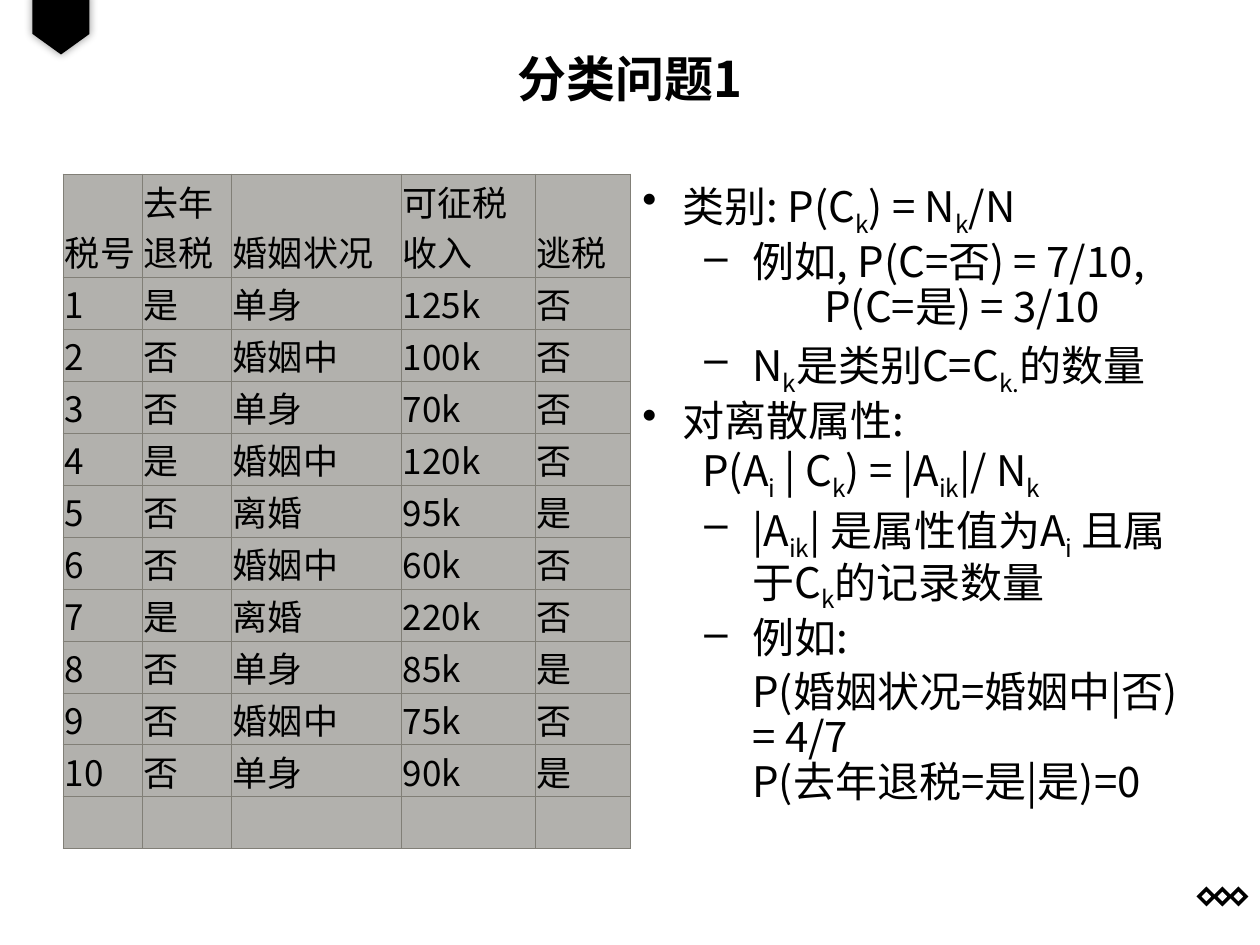
from lxml import etree
from pptx import Presentation
from pptx.dml.color import RGBColor
from pptx.enum.shapes import MSO_SHAPE
from pptx.enum.text import MSO_ANCHOR, PP_ALIGN
from pptx.oxml.ns import qn
from pptx.util import Pt

PX = 914400 // 126
FONT = "Noto Sans CJK SC"
BLACK = "000000"
CELL_FILL = "B2B1AD"
CELL_BORDER = "817F77"
DIAMOND, PENTAGON = MSO_SHAPE.DIAMOND, MSO_SHAPE.PENTAGON
BOTTOM, CENTER = MSO_ANCHOR.BOTTOM, PP_ALIGN.CENTER

COLUMN_WIDTHS = [79, 89, 170, 134, 95]
HEADER_HEIGHT, ROW_HEIGHT = 103, 52
RECORDS = [
    ("税号", "去年退税", "婚姻状况", "可征税收入", "逃税"),
    ("1", "是", "单身", "125k", "否"),
    ("2", "否", "婚姻中", "100k", "否"),
    ("3", "否", "单身", "70k", "否"),
    ("4", "是", "婚姻中", "120k", "否"),
    ("5", "否", "离婚", "95k", "是"),
    ("6", "否", "婚姻中", "60k", "否"),
    ("7", "是", "离婚", "220k", "否"),
    ("8", "否", "单身", "85k", "是"),
    ("9", "否", "婚姻中", "75k", "否"),
    ("10", "否", "单身", "90k", "是"),
    ("", "", "", "", ""),
]

SPACE_BEFORE = 4.8
TOPIC = {"margin": 40, "hanging": 40, "bullet": "•", "before": SPACE_BEFORE}
DETAIL = {"margin": 110, "hanging": 48, "bullet": "–", "before": SPACE_BEFORE}
FORMULAS = [
    ("类别: P(C~k~) = N~k~/N", {**TOPIC, "before": 0}),
    ("例如, P(C=否) = 7/10,", DETAIL),
    ("P(C=是) = 3/10", {"margin": 182}),
    ("N~k~是类别C=C~k.~的数量", DETAIL),
    ("对离散属性:", TOPIC),
    ("P(A~i~ | C~k~) = |A~ik~|/ N~k~", {"margin": 60}),
    ("|A~ik~| 是属性值为A~i~ 且属于C~k~的记录数量", DETAIL),
    ("例如:", DETAIL),
    ("P(婚姻状况=婚姻中|否) = 4/7", {"margin": 110, "before": SPACE_BEFORE}),
    ("P(去年退税=是|是)=0", {"margin": 110}),
]


def color(value):
    """Turn a hex string into a colour."""
    return RGBColor.from_string(value)


def scaled(*lengths):
    """Turn px lengths into EMU."""
    return [length * PX for length in lengths]


def format_run(run, size, bold=False):
    """Give a run its font for Latin and Chinese text."""
    run.font.name, run.font.size, run.font.bold = FONT, Pt(size), bold
    run.font.color.rgb = color(BLACK)
    east_asian = etree.SubElement(run._r.get_or_add_rPr(), qn("a:ea"))
    east_asian.set("typeface", FONT)


def add_ribbon(slide, left, top, width, height):
    """Draw the black ribbon hanging from the top edge."""
    ribbon = slide.shapes.add_shape(PENTAGON, *scaled(left, top, width, height))
    ribbon.rotation = 90
    ribbon.adjustments[0] = 0.36
    ribbon.fill.solid()
    ribbon.fill.fore_color.rgb = color(BLACK)
    ribbon.line.fill.background()
    ribbon.shadow.inherit = False
    effects = ribbon._element.spPr.find(qn("a:effectLst"))
    shadow = etree.SubElement(effects, qn("a:outerShdw"), blurRad=str(Pt(5)))
    tint = etree.SubElement(shadow, qn("a:srgbClr"), val=BLACK)
    etree.SubElement(tint, qn("a:alpha"), val="40000")


def add_diamonds(slide, left, top, size, pitch):
    """Draw the row of three outlined diamonds with sharp corners."""
    group = slide.shapes.add_group_shape()
    for index in range(3):
        box = scaled(left + index * pitch, top, size, size)
        diamond = group.shapes.add_shape(DIAMOND, *box)
        diamond.fill.background()
        diamond.line.color.rgb = color(BLACK)
        diamond.line.width = Pt(2)
        outline = diamond._element.spPr.find(qn("a:ln"))
        etree.SubElement(outline, qn("a:miter"), lim="800000")
        diamond.shadow.inherit = False


def add_title(slide, left, top, width, height):
    """Place the centred slide title."""
    frame = slide.shapes.add_textbox(*scaled(left, top, width, height)).text_frame
    frame.word_wrap = True
    frame.text = "分类问题1"
    paragraph = frame.paragraphs[0]
    paragraph.alignment = CENTER
    format_run(paragraph.runs[0], 28, bold=True)


def style_cell(cell):
    """Give a table cell its borders, fill, insets and font."""
    properties = cell._tc.get_or_add_tcPr()
    for side in ("lnL", "lnR", "lnT", "lnB"):
        border = etree.SubElement(properties, qn(f"a:{side}"), w=str(Pt(0.5)))
        fill = etree.SubElement(border, qn("a:solidFill"))
        etree.SubElement(fill, qn("a:srgbClr"), val=CELL_BORDER)
    cell.fill.solid()
    cell.fill.fore_color.rgb = color(CELL_FILL)
    cell.margin_left = 2 * PX
    cell.margin_right = cell.margin_top = PX
    cell.margin_bottom = 0
    cell.vertical_anchor = BOTTOM
    for run in cell.text_frame.paragraphs[0].runs:
        format_run(run, 20)


def add_records(slide, left, top):
    """Place the table of tax records."""
    heights = [HEADER_HEIGHT] + [ROW_HEIGHT] * (len(RECORDS) - 1)
    box = scaled(left, top, sum(COLUMN_WIDTHS), sum(heights))
    table = slide.shapes.add_table(len(RECORDS), len(COLUMN_WIDTHS), *box).table
    table.first_row = table.horz_banding = False
    for column, width in zip(table.columns, scaled(*COLUMN_WIDTHS)):
        column.width = width
    for row, height, record in zip(table.rows, scaled(*heights), RECORDS):
        row.height = height
        for cell, value in zip(row.cells, record):
            cell.text = value
            style_cell(cell)


def fill_formula(paragraph, text, margin, hanging=0, bullet=None, before=0):
    """Write one formula line; parts between tildes are subscripts."""
    properties = paragraph._p.get_or_add_pPr()
    properties.set("marL", str(margin * PX))
    properties.set("indent", str(-hanging * PX))
    if bullet:
        etree.SubElement(properties, qn("a:buChar"), char=bullet)
    else:
        etree.SubElement(properties, qn("a:buNone"))
    paragraph.line_spacing = 0.9
    paragraph.space_before = Pt(before)
    for index, part in enumerate(text.split("~")):
        if part:
            run = paragraph.add_run()
            run.text = part
            format_run(run, 24)
            if index % 2:
                run._r.get_or_add_rPr().set("baseline", "-25000")


def add_formulas(slide, left, top, width, height):
    """Place the bulleted list of probability formulas."""
    frame = slide.shapes.add_textbox(*scaled(left, top, width, height)).text_frame
    frame.word_wrap = True
    for index, (text, layout) in enumerate(FORMULAS):
        paragraph = frame.add_paragraph() if index else frame.paragraphs[0]
        fill_formula(paragraph, text, **layout)


def main():
    """Build and save the slide."""
    presentation = Presentation()
    presentation.slide_width, presentation.slide_height = scaled(1260, 945)
    slide = presentation.slides.add_slide(presentation.slide_layouts[6])
    add_diamonds(slide, 1199, 889, 15, 16)
    add_ribbon(slide, 31, -4, 60, 57)
    add_title(slide, 63, 42, 1134, 157)
    add_records(slide, 63, 174)
    add_formulas(slide, 630, 175, 587, 614)
    presentation.save("out.pptx")


if __name__ == "__main__":
    main()
